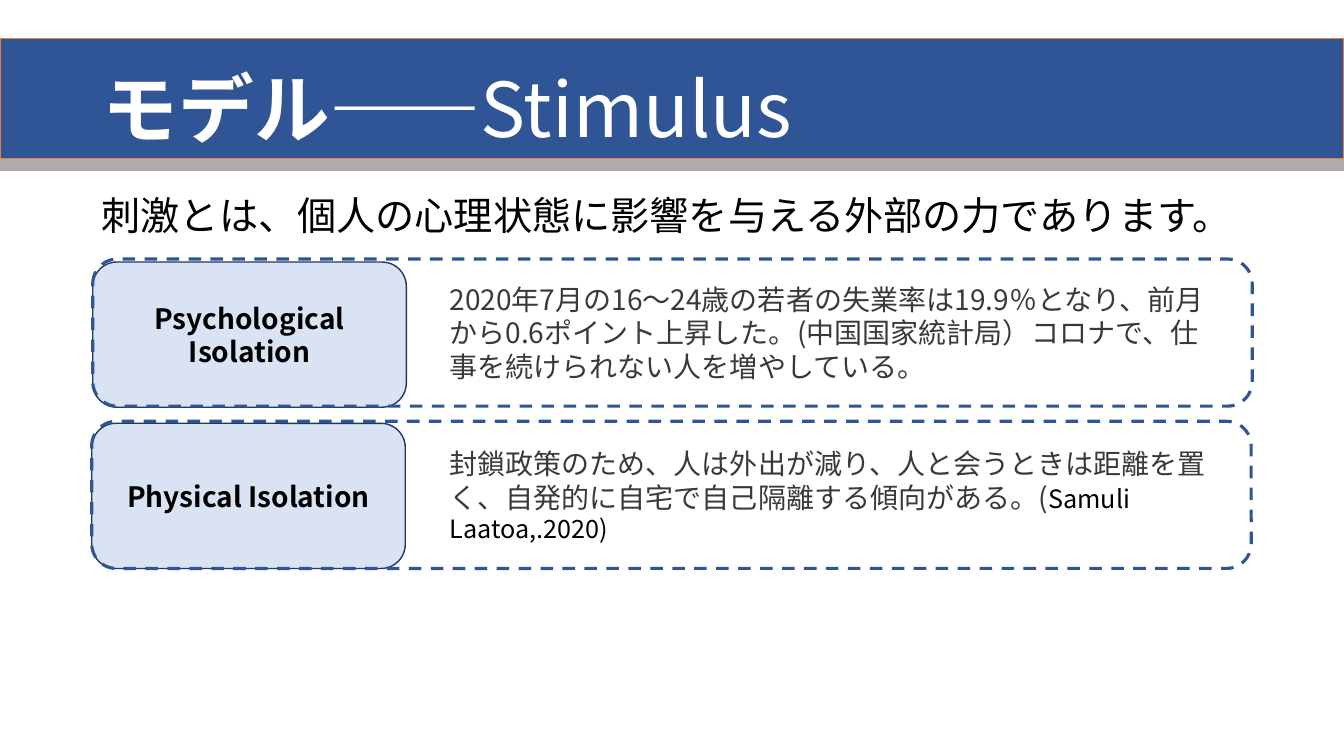
from lxml import etree
from pptx import Presentation
from pptx.dml.color import RGBColor
from pptx.enum.dml import MSO_LINE
from pptx.enum.shapes import MSO_SHAPE
from pptx.enum.text import MSO_ANCHOR, PP_ALIGN
from pptx.oxml.ns import qn
from pptx.util import Inches, Pt

RECT, ROUNDED = MSO_SHAPE.RECTANGLE, MSO_SHAPE.ROUNDED_RECTANGLE
LEFT, CENTER = PP_ALIGN.LEFT, PP_ALIGN.CENTER
MIDDLE = MSO_ANCHOR.MIDDLE
DASH = MSO_LINE.DASH
FONT = "Noto Sans CJK JP"
COLORS = {
    "banner": "2F5597",
    "banner_edge": "ED7D31",
    "strip": "AFABAB",
    "label": "DAE3F3",
    "label_edge": "203864",
    "body": "3B3838",
    "black": "000000",
    "white": "FFFFFF",
}
CARDS = [
    {
        "label": "Psychological Isolation",
        "frame": (0.92, 2.57),
        "label_top": 2.6,
        "text_box": (4.36, 2.75, 7.73, 1.11),
        "spans": [
            ("2020年7月の16〜24歳の若者の失業率は19.9％となり、前月から0.6ポイント上昇した。"
             "(中国国家統計局）コロナで、仕事を続けられない人を増やしている。",
             "body", {"size": Pt(20)}),
        ],
    },
    {
        "label": "Physical Isolation",
        "frame": (0.91, 4.18),
        "label_top": 4.2,
        "text_box": (4.36, 4.38, 7.9, 1.08),
        "spans": [
            ("封鎖政策のため、人は外出が減り、人と会うときは距離を置く、"
             "自発的に自宅で自己隔離する傾向がある。(", "body", {"size": Pt(20)}),
            ("Samuli Laatoa,.2020)", "black", {"size": Pt(18)}),
        ],
    },
]


def color(name):
    return RGBColor.from_string(COLORS[name])


def write(frame, spans, align=LEFT):
    frame.word_wrap = True
    para = frame.paragraphs[0]
    para.alignment = align
    for text, color_name, formats in spans:
        span = para.add_run()
        span.text = text
        span.font.color.rgb = color(color_name)
        for name, value in {"name": FONT, **formats}.items():
            setattr(span.font, name, value)
        east_asian = etree.SubElement(span.font._element, qn("a:ea"))
        east_asian.set("typeface", FONT)
    return para


def add_box(page, kind, place, fill, edge, width=1, dash=None):
    box = page.shapes.add_shape(kind, *map(Inches, place))
    box.shadow.inherit = False
    if fill:
        box.fill.solid()
        box.fill.fore_color.rgb = color(fill)
    else:
        box.fill.background()
    box.line.color.rgb = color(edge)
    box.line.width = Pt(width)
    if dash:
        box.line.dash_style = dash
    return box


def add_text(page, place, spans):
    box = page.shapes.add_textbox(*map(Inches, place))
    write(box.text_frame, spans)


def set_title(page):
    title = page.shapes.title
    place = {"left": 0.92, "top": 0.4, "width": 11.5, "height": 1.45}
    for name, value in place.items():
        setattr(title, name, Inches(value))
    title.text_frame.vertical_anchor = MIDDLE
    para = write(title.text_frame, [
        ("モデル——", "white", {"size": Pt(54), "bold": True}),
        ("Stimulus", "white", {"size": Pt(54), "bold": False}),
    ])
    para.line_spacing = 0.9


def add_card(page, card):
    left, top = card["frame"]
    label = add_box(page, ROUNDED, (left, card["label_top"], 3.11, 1.44),
                    "label", "label_edge")
    label.text_frame.vertical_anchor = MIDDLE
    write(label.text_frame,
          [(card["label"], "black", {"size": Pt(20), "bold": True})], CENTER)
    add_box(page, ROUNDED, (left, top, 11.5, 1.46), None, "banner", 2.25, DASH)
    add_text(page, card["text_box"], card["spans"])


def main():
    deck = Presentation()
    deck.slide_width, deck.slide_height = Inches(13.33), Inches(7.5)
    page = deck.slides.add_slide(deck.slide_layouts[5])
    add_box(page, RECT, (0, 0.38, 13.33, 1.2), "banner", "banner_edge")
    add_box(page, RECT, (0, 1.58, 13.33, 0.11), "strip", "strip")
    title_element = page.shapes.title._element
    page.shapes._spTree.append(title_element)
    set_title(page)
    add_text(page, (0.91, 1.85, 11.5, 0.57), [
        ("刺激とは、個人の心理状態に影響を与える外部の力であります。",
         "black", {"size": Pt(28)}),
    ])
    for card in CARDS:
        add_card(page, card)
    deck.save("out.pptx")


if __name__ == "__main__":
    main()
